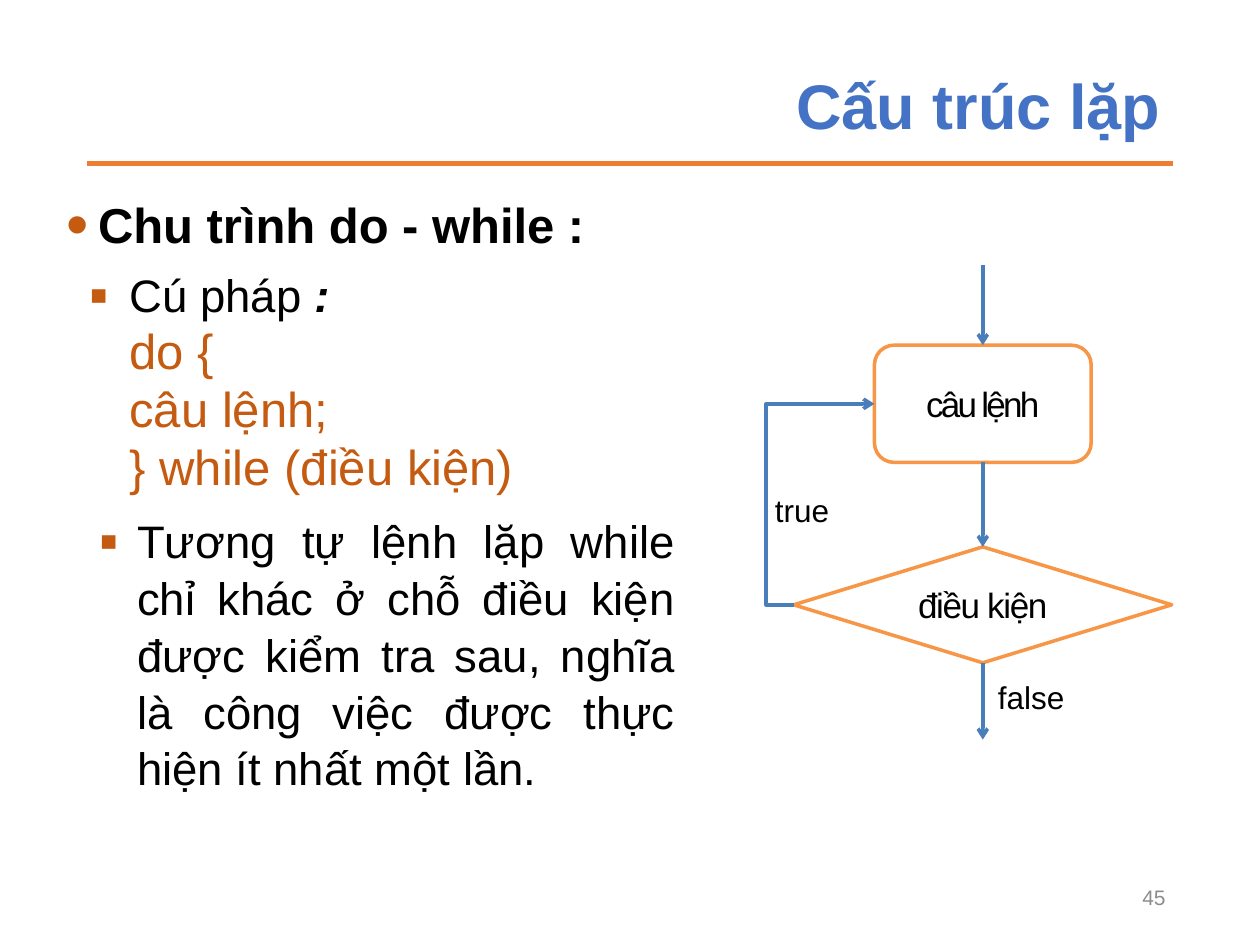
from pptx import Presentation
from pptx.dml.color import RGBColor
from pptx.enum.shapes import MSO_CONNECTOR as CONNECTOR, MSO_SHAPE as SHAPE
from pptx.enum.text import MSO_ANCHOR as ANCHOR, MSO_AUTO_SIZE as AUTO_SIZE, PP_ALIGN as ALIGN
from pptx.oxml.ns import qn
from pptx.util import Inches, Pt
from lxml.etree import SubElement

BLUE = RGBColor(0x44, 0x72, 0xC4)
ORANGE = RGBColor(0xED, 0x7D, 0x31)
RUST = RGBColor(0xC5, 0x5A, 0x11)
NODE_ORANGE = RGBColor(0xF7, 0x96, 0x46)
ARROW_BLUE = RGBColor(0x4A, 0x7E, 0xBB)
GREY = RGBColor(0x8C, 0x8C, 0x8C)
BLACK = RGBColor(0, 0, 0)
FONT = "Arial"
TOP, LEFT, BOTTOM = 0, 1, 2


def set_attributes(target, values):
    for name, value in values.items():
        setattr(target, name, value)


def format_font(font, size, color, **style):
    set_attributes(font, {"name": FONT, "size": Pt(size), **style})
    font.color.rgb = color


def add_run(paragraph, words, size, color, **style):
    run = paragraph.add_run()
    run.text = words
    format_font(run.font, size, color, **style)
    return run


def set_frame(frame, inset=None, **values):
    set_attributes(frame, {"word_wrap": True, "auto_size": AUTO_SIZE.NONE, **values})
    if inset is not None:
        sides = ("left", "top", "right", "bottom")
        set_attributes(frame, {f"margin_{side}": inset for side in sides})


def set_line(shape, color, width, arrow=False):
    shape.line.color.rgb = color
    shape.line.width = Pt(width)
    if arrow:
        SubElement(shape.line._get_or_add_ln(), qn("a:tailEnd"), type="arrow")


def add_straight(slide, start, end, color, width, arrow=False):
    connector = slide.shapes.add_connector(CONNECTOR.STRAIGHT, *start, *end)
    set_line(connector, color, width, arrow)
    SubElement(connector._element.spPr, qn("a:effectLst"))
    return connector


def set_indent(paragraph, margin, first_line, level=0):
    paragraph.level = level
    properties = paragraph._p.get_or_add_pPr()
    properties.set("marL", str(Inches(margin)))
    properties.set("indent", str(Inches(first_line)))
    return properties


def set_bullet(paragraph, mark, percent, margin, hanging, level=0):
    properties = set_indent(paragraph, margin, -hanging, level)
    color = SubElement(properties, qn("a:buClr"))
    SubElement(color, qn("a:srgbClr"), val=str(RUST))
    SubElement(properties, qn("a:buSzPct"), val=str(percent * 1000))
    SubElement(properties, qn("a:buFont"), typeface=FONT)
    SubElement(properties, qn("a:buChar"), char=mark)


def add_header(slide, left, top, width, height):
    title = slide.shapes.title
    set_attributes(title, {"left": left, "top": top, "width": width, "height": height})
    set_frame(title.text_frame, vertical_anchor=ANCHOR.MIDDLE)
    heading = title.text_frame.paragraphs[0]
    set_attributes(heading, {"alignment": ALIGN.RIGHT, "line_spacing": 0.9})
    add_run(heading, "Cấu trúc lặp", 36, BLUE, bold=True)
    # Rule under the title
    rule_y = top + Inches(0.77)
    add_straight(slide, (left, rule_y), (left + width, rule_y), ORANGE, 2.75)


def add_explanation(slide, left, top, width, height):
    frame = slide.shapes.add_textbox(left, top, width, height).text_frame
    set_frame(frame)
    spaced = {"space_before": Pt(3), "space_after": Pt(3)}

    topic = frame.paragraphs[0]
    set_bullet(topic, "•", 130, 0.25, 0.25)
    set_attributes(topic, {"alignment": ALIGN.JUSTIFY, "line_spacing": Pt(32),
                           "space_after": Pt(3)})
    add_run(topic, "Chu trình do - while :", 28, BLACK, bold=True)

    syntax = frame.add_paragraph()
    set_bullet(syntax, "▪", 120, 0.5, 0.32, level=1)
    set_attributes(syntax, {"alignment": ALIGN.JUSTIFY, "line_spacing": Pt(33), **spaced})
    add_run(syntax, "Cú pháp ", 26, BLACK, bold=False)
    add_run(syntax, ":", 26, BLACK, bold=True, italic=True)

    for code in ("do {", "câu lệnh;", "} while (điều kiện)"):
        code_line = frame.add_paragraph()
        set_indent(code_line, 0, 0.5)
        set_attributes(code_line, {"line_spacing": Pt(27), **spaced})
        add_run(code_line, code, 28, RUST)

    remark = frame.add_paragraph()
    set_bullet(remark, "▪", 120, 0.56, 0.3, level=1)
    set_attributes(remark, {"alignment": ALIGN.JUSTIFY, "line_spacing": 1.04,
                            "space_before": Pt(6)})
    add_run(remark, "Tương tự lệnh lặp while chỉ khác ở chỗ điều kiện được kiểm tra sau, "
            "nghĩa là công việc được thực hiện ít nhất một lần.", 26, BLACK)


def add_node(slide, preset, words, spacing, left, top, width, height):
    node = slide.shapes.add_shape(preset, left, top, width, height)
    node.shadow.inherit = False
    node.fill.background()
    set_line(node, NODE_ORANGE, 2)
    set_frame(node.text_frame, inset=0, word_wrap=False, vertical_anchor=ANCHOR.MIDDLE)
    caption = node.text_frame.paragraphs[0]
    caption.alignment = ALIGN.CENTER
    run = add_run(caption, words, 20, BLACK)
    run.font._element.set("spc", str(spacing))
    return node


def add_branch_label(slide, words, left, top):
    label = slide.shapes.add_textbox(left, top, Inches(0.65), Inches(0.32))
    set_frame(label.text_frame, inset=0)
    add_run(label.text_frame.paragraphs[0], words, 18, BLACK)


def add_flowchart(slide, left, top, width, height):
    center = left + Inches(1.72)
    statement_w, condition_w = Inches(1.72), Inches(3)
    statement = add_node(slide, SHAPE.ROUNDED_RECTANGLE, "câu lệnh", -160,
                         center - statement_w // 2, top + Inches(0.64),
                         statement_w, Inches(0.93))
    condition = add_node(slide, SHAPE.DIAMOND, "điều kiện", -80,
                         center - condition_w // 2, top + Inches(2.24),
                         condition_w, Inches(0.92))

    # Entry, step and exit arrows
    entry_point, exit_point = (center, top), (center, top + height)
    entry, step, leave = (add_straight(slide, entry_point, exit_point, ARROW_BLUE, 2, True)
                          for _ in range(3))
    entry.end_connect(statement, TOP)
    step.begin_connect(statement, BOTTOM)
    step.end_connect(condition, TOP)
    leave.begin_connect(condition, BOTTOM)

    # Loop back to the statement
    condition_y = condition.top + condition.height // 2
    statement_y = statement.top + statement.height // 2
    builder = slide.shapes.build_freeform(condition.left, condition_y)
    builder.add_line_segments([(left, condition_y), (left, statement_y),
                               (statement.left, statement_y)], close=False)
    loop = builder.convert_to_shape()
    loop.shadow.inherit = False
    loop.fill.background()
    set_line(loop, ARROW_BLUE, 2, arrow=True)

    add_branch_label(slide, "true", left + Inches(0.07), top + Inches(1.8))
    add_branch_label(slide, "false", center + Inches(0.12), top + Inches(3.28))


def add_page_number(slide, left, top, width, height):
    frame = slide.shapes.add_textbox(left, top, width, height).text_frame
    set_frame(frame, vertical_anchor=ANCHOR.MIDDLE)
    number = frame.paragraphs[0]
    number.alignment = ALIGN.RIGHT
    add_run(number, "45", 12, GREY)


def main():
    deck = Presentation()
    set_attributes(deck, {"slide_width": Inches(10), "slide_height": Inches(7.5)})
    slide = deck.slides.add_slide(deck.slide_layouts[5])
    regions = (
        (add_header, (0.69, 0.53, 8.62, 0.68)),
        (add_explanation, (0.43, 1.52, 5.03, 5.39)),
        (add_flowchart, (6.08, 2.1, 3.22, 3.77)),
        (add_page_number, (7.1, 6.92, 2.25, 0.4)),
    )
    for add_region, box in regions:
        add_region(slide, *map(Inches, box))
    deck.save("out.pptx")


if __name__ == "__main__":
    main()
